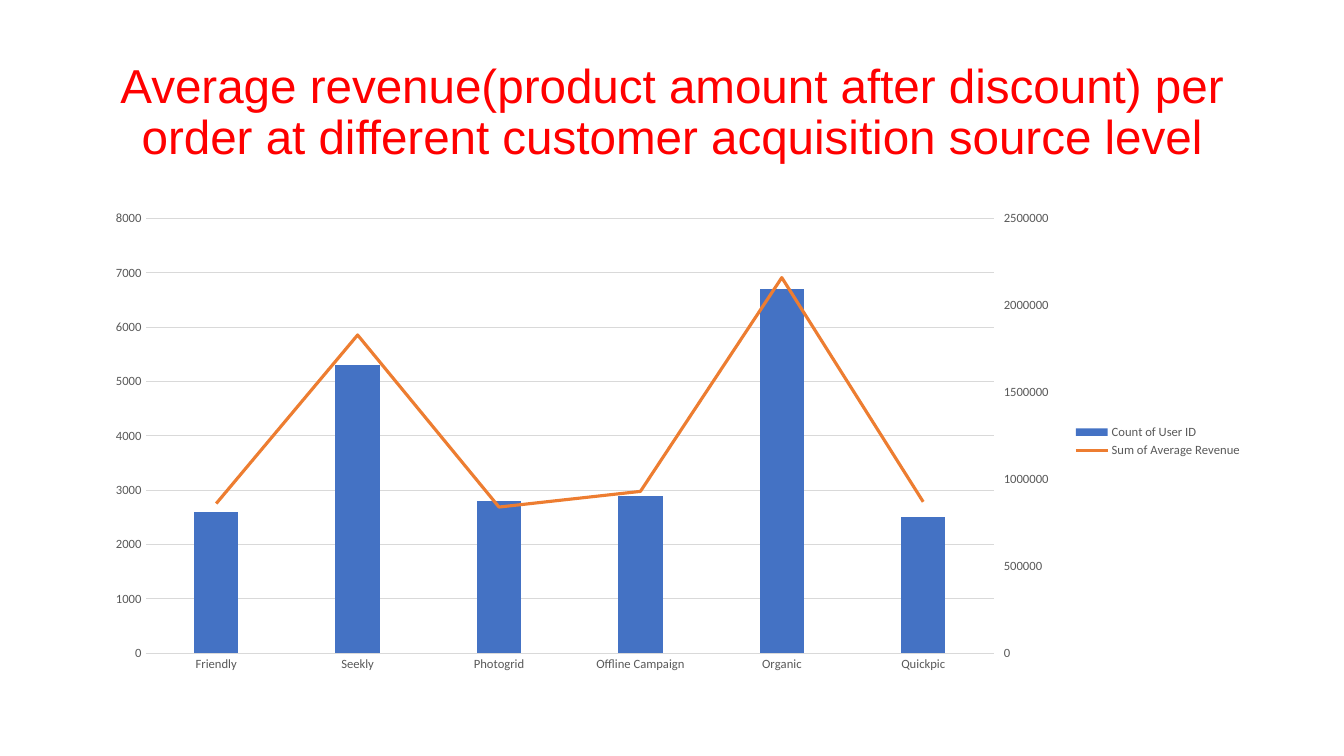
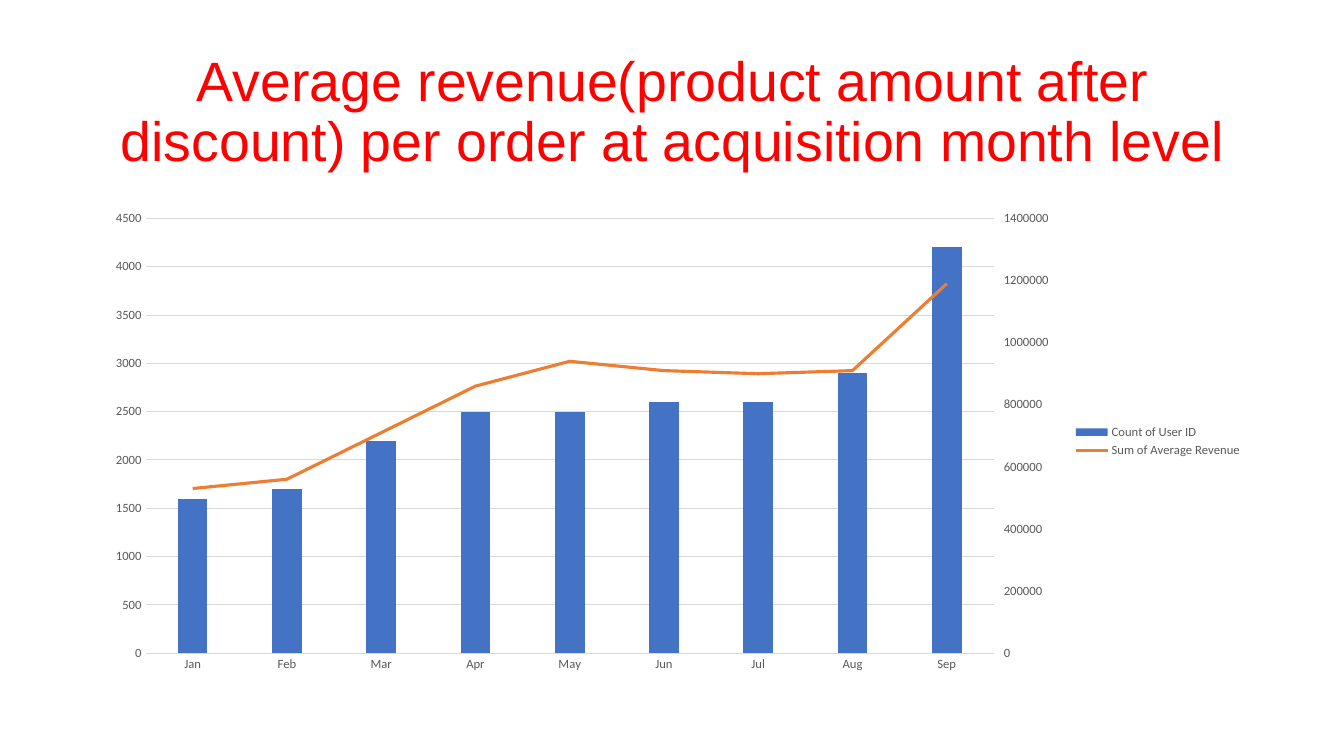
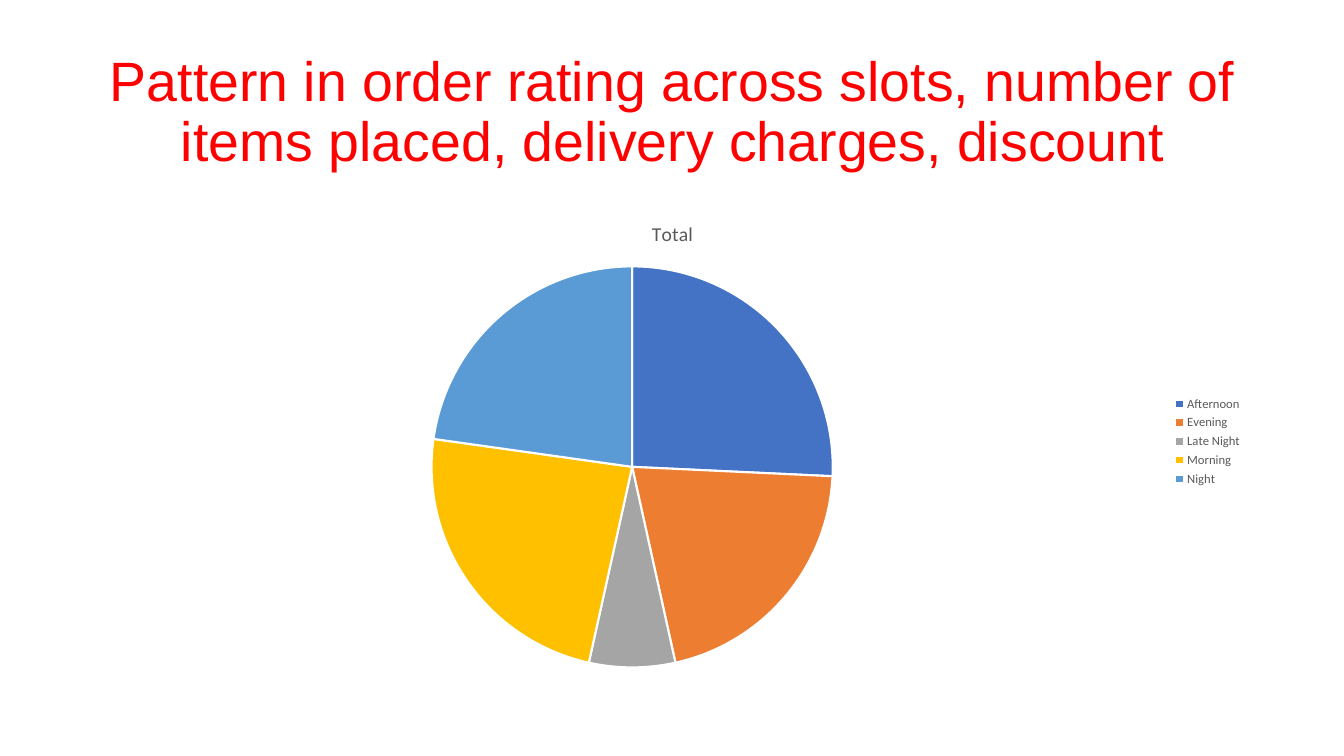
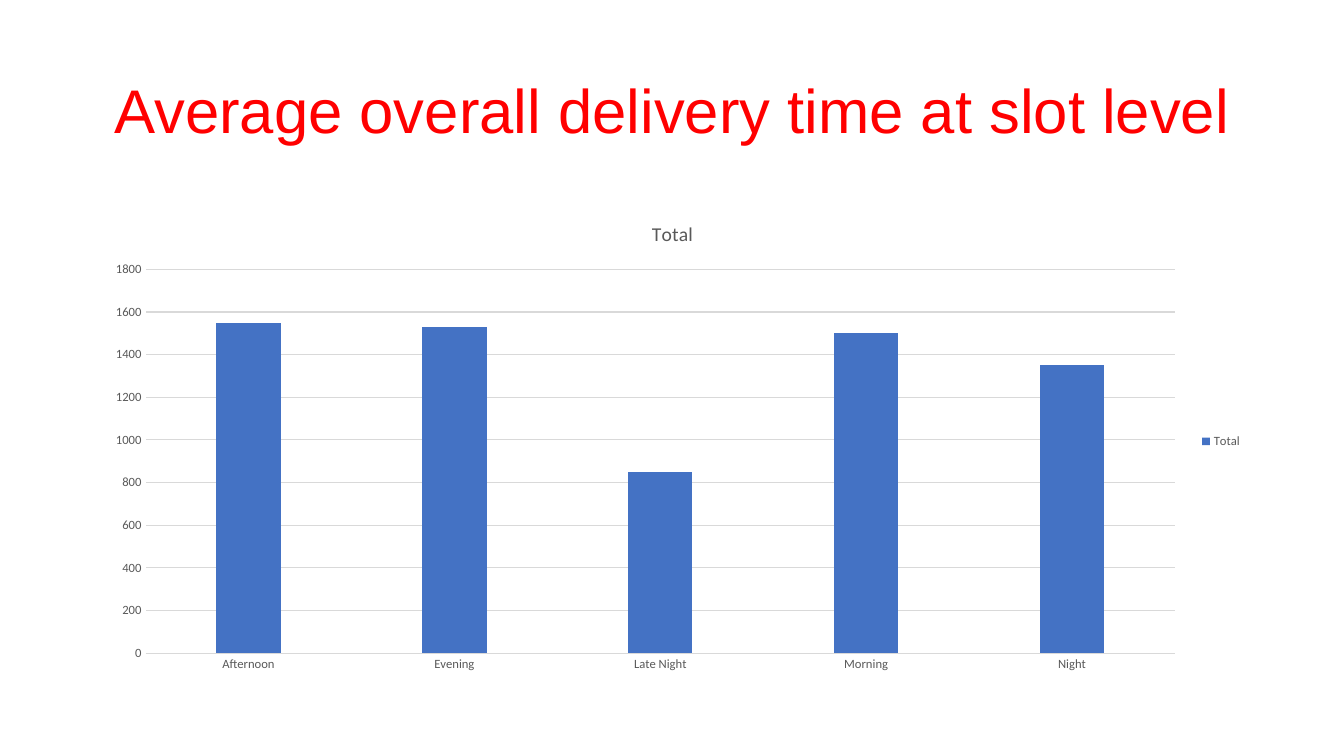
from copy import deepcopy

from pptx import Presentation
from pptx.chart.axis import CategoryAxis, ValueAxis
from pptx.chart.data import CategoryChartData
from pptx.dml.color import RGBColor
from pptx.enum.chart import XL_CHART_TYPE as ChartType
from pptx.enum.chart import XL_LEGEND_POSITION as LegendPosition
from pptx.enum.chart import XL_MARKER_STYLE as MarkerStyle
from pptx.enum.chart import XL_TICK_MARK as TickMark
from pptx.enum.text import MSO_ANCHOR as Anchor
from pptx.enum.text import MSO_AUTO_SIZE as AutoSize
from pptx.enum.text import PP_ALIGN as Align
from pptx.oxml import parse_xml
from pptx.oxml.ns import nsdecls, qn
from pptx.util import Inches, Pt

# Shared style
COLORS = {
    "title": "FF0000", "label": "595959", "grid": "D9D9D9", "text": "000000",
    "white": "FFFFFF", "blue": "4472C4", "orange": "ED7D31", "gray": "A5A5A5",
    "yellow": "FFC000", "sky": "5B9BD5",
}
SLICE_COLORS = ["blue", "orange", "gray", "yellow", "sky"]
TITLE_FONT, CHART_FONT = "Arial", "Calibri"
TITLE_BOX = [Inches(value) for value in (0.92, 0.4, 11.5, 1.45)]
CHART_BOX = [Inches(value) for value in (0.92, 2, 11.5, 4.76)]
RIGHT_AXIS_IDS = {"c:catAx": "50010", "c:valAx": "50020"}

# Content
SLOTS = ["Afternoon", "Evening", "Late Night", "Morning", "Night"]
COUNT, REVENUE = "Count of User ID", "Sum of Average Revenue"
SLIDES = [
    {
        "title": "Average revenue(product amount after discount) per order "
                 "at different customer acquisition source level",
        "size": 34, "kind": "combined",
        "categories": ["Friendly", "Seekly", "Photogrid", "Offline Campaign",
                       "Organic", "Quickpic"],
        "series": {
            COUNT: [2600, 5300, 2800, 2900, 6700, 2500],
            REVENUE: [860000, 1830000, 840000, 930000, 2160000, 870000],
        },
    },
    {
        "title": "Average revenue(product amount after discount) per order "
                 "at acquisition month level",
        "size": 39.6, "kind": "combined",
        "categories": ["Jan", "Feb", "Mar", "Apr", "May", "Jun", "Jul", "Aug", "Sep"],
        "series": {
            COUNT: [1600, 1700, 2200, 2500, 2500, 2600, 2600, 2900, 4200],
            REVENUE: [530000, 560000, 710000, 860000, 940000, 910000, 900000,
                      910000, 1190000],
        },
    },
    {
        "title": "Pattern in order rating across slots, number of items placed, "
                 "delivery charges, discount",
        "size": 39.6, "kind": "pie", "categories": SLOTS,
        "series": {"Total": [26, 21, 7, 24, 23]}, "chart_title": "Total",
    },
    {
        "title": "Average overall delivery time at slot level",
        "size": 44, "kind": "column", "categories": SLOTS,
        "series": {"Total": [1550, 1530, 850, 1500, 1350]}, "chart_title": "Total",
    },
]


# Formatting helpers
def rgb(name):
    return RGBColor.from_string(COLORS[name])


def style_font(font, size, color, name=CHART_FONT):
    font.size, font.name, font.bold = Pt(size), name, False
    font.color.rgb = rgb(color)


def set_text(text_frame, text, size=14, color="label", font=CHART_FONT, spacing=None):
    paragraph = text_frame.paragraphs[0]
    paragraph.alignment = Align.CENTER
    paragraph.line_spacing = spacing
    run = paragraph.add_run()
    run.text = text
    style_font(run.font, size, color, font)


def set_line(line, color, width):
    line.color.rgb = rgb(color)
    line.width = Pt(width)


def fill(target, color):
    target.format.fill.solid()
    target.format.fill.fore_color.rgb = rgb(color)


# Chart parts
def style_columns(chart):
    plot = chart.plots[0]
    plot.vary_by_categories = False
    plot.gap_width, plot.overlap = 219, -27
    fill(plot.series[0], "blue")
    for axis in (chart.category_axis, chart.value_axis):
        axis.major_tick_mark = axis.minor_tick_mark = TickMark.NONE
        style_font(axis.tick_labels.font, 9, "label")
    set_line(chart.category_axis.format.line, "grid", 0.75)
    chart.value_axis.format.line.fill.background()
    set_line(chart.value_axis.major_gridlines.format.line, "grid", 0.75)


def move_to_right_axis(chart):
    """Turn the second column series into a line on its own right axis."""
    series = chart.plots[0].series[1]._element
    column_chart = series.getparent()
    plot_area = column_chart.getparent()
    axis_ids = "".join(f'<c:axId val="{value}"/>' for value in RIGHT_AXIS_IDS.values())
    line_chart = parse_xml(
        f'<c:lineChart {nsdecls("c")}><c:grouping val="standard"/>'
        f'<c:varyColors val="0"/><c:marker val="1"/>{axis_ids}</c:lineChart>')
    for column_only in series.findall(qn("c:invertIfNegative")):
        series.remove(column_only)
    line_chart.insert(2, series)
    column_chart.addnext(line_chart)

    category, value = (deepcopy(plot_area.find(qn(tag))) for tag in RIGHT_AXIS_IDS)
    for axis, own, other in ((category, "c:catAx", "c:valAx"),
                             (value, "c:valAx", "c:catAx")):
        axis.find(qn("c:axId")).set("val", RIGHT_AXIS_IDS[own])
        axis.find(qn("c:crossAx")).set("val", RIGHT_AXIS_IDS[other])
    value.find(qn("c:axPos")).set("val", "r")
    value.find(qn("c:crosses")).set("val", "max")
    plot_area.findall(qn("c:valAx"))[-1].addnext(value)
    value.addnext(category)
    CategoryAxis(category).visible = False
    right_axis = ValueAxis(value)
    right_axis.has_major_gridlines = False
    right_axis.major_tick_mark = TickMark.OUTSIDE

    line = chart.plots[1].series[0]
    line.smooth = False
    line.marker.style = MarkerStyle.NONE
    set_line(line.format.line, "orange", 2.25)


def style_pie(chart):
    plot = chart.plots[0]
    plot.vary_by_categories = True
    for index, color in enumerate(SLICE_COLORS):
        point = plot.series[0].points[index]
        fill(point, color)
        set_line(point.format.line, "white", 1.5)


# Slide parts
def add_title(slide, text, size):
    title = slide.shapes.title
    title.left, title.top, title.width, title.height = TITLE_BOX
    frame = title.text_frame
    frame.word_wrap, frame.auto_size = True, AutoSize.NONE
    frame.vertical_anchor = Anchor.MIDDLE
    set_text(frame, text, size=size, color="title", font=TITLE_FONT, spacing=0.9)


def add_chart(slide, content):
    data = CategoryChartData()
    data.categories = content["categories"]
    for name, values in content["series"].items():
        data.add_series(name, values)
    kind = content["kind"]
    chart_type = ChartType.PIE if kind == "pie" else ChartType.COLUMN_CLUSTERED
    chart = slide.shapes.add_chart(chart_type, *CHART_BOX, data).chart
    style_font(chart.font, 10, "text")

    chart.has_title = "chart_title" in content
    if chart.has_title:
        set_text(chart.chart_title.text_frame, content["chart_title"])
    chart.has_legend = True
    chart.legend.position = LegendPosition.RIGHT
    chart.legend.include_in_layout = False
    style_font(chart.legend.font, 9, "label")

    if kind == "pie":
        style_pie(chart)
    else:
        style_columns(chart)
    if kind == "combined":
        move_to_right_axis(chart)


def main():
    presentation = Presentation()
    presentation.slide_width, presentation.slide_height = Inches(13.33), Inches(7.5)
    title_only = presentation.slide_layouts[5]
    for content in SLIDES:
        slide = presentation.slides.add_slide(title_only)
        add_title(slide, content["title"], content["size"])
        add_chart(slide, content)
    presentation.save("out.pptx")


if __name__ == "__main__":
    main()
